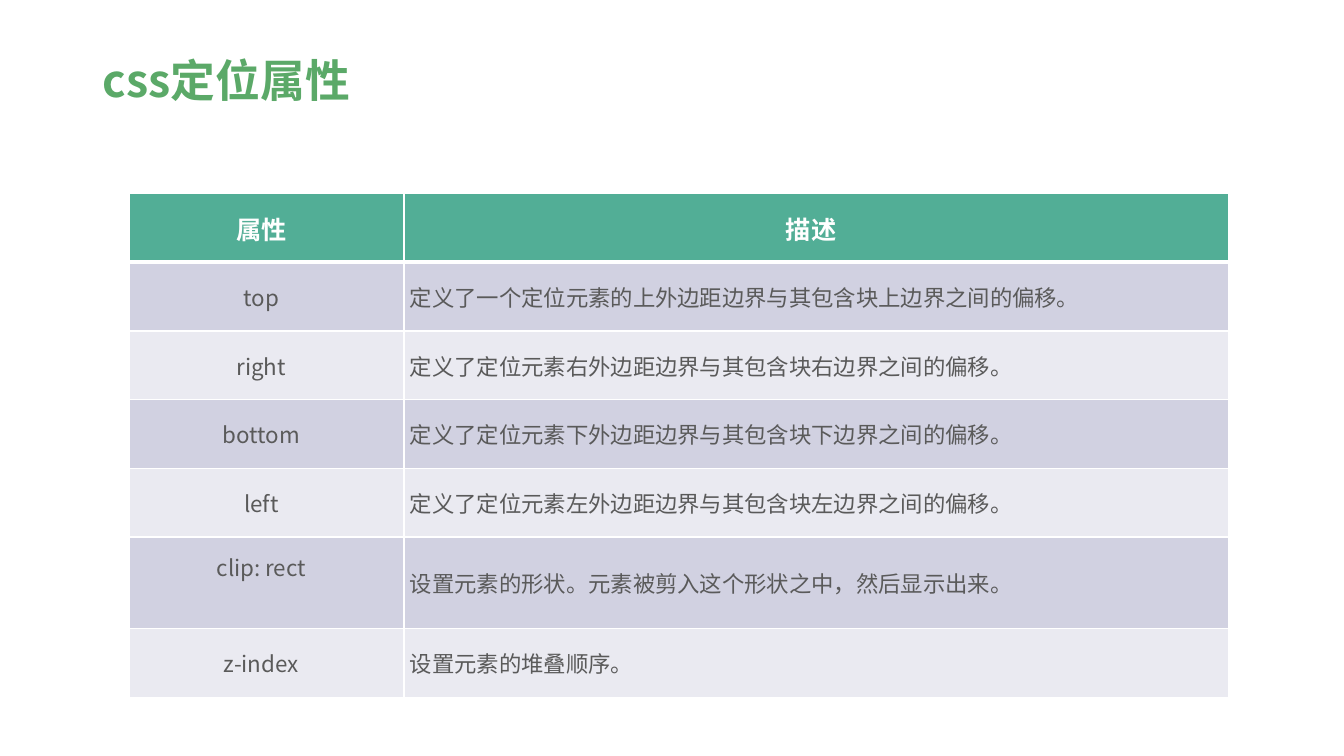
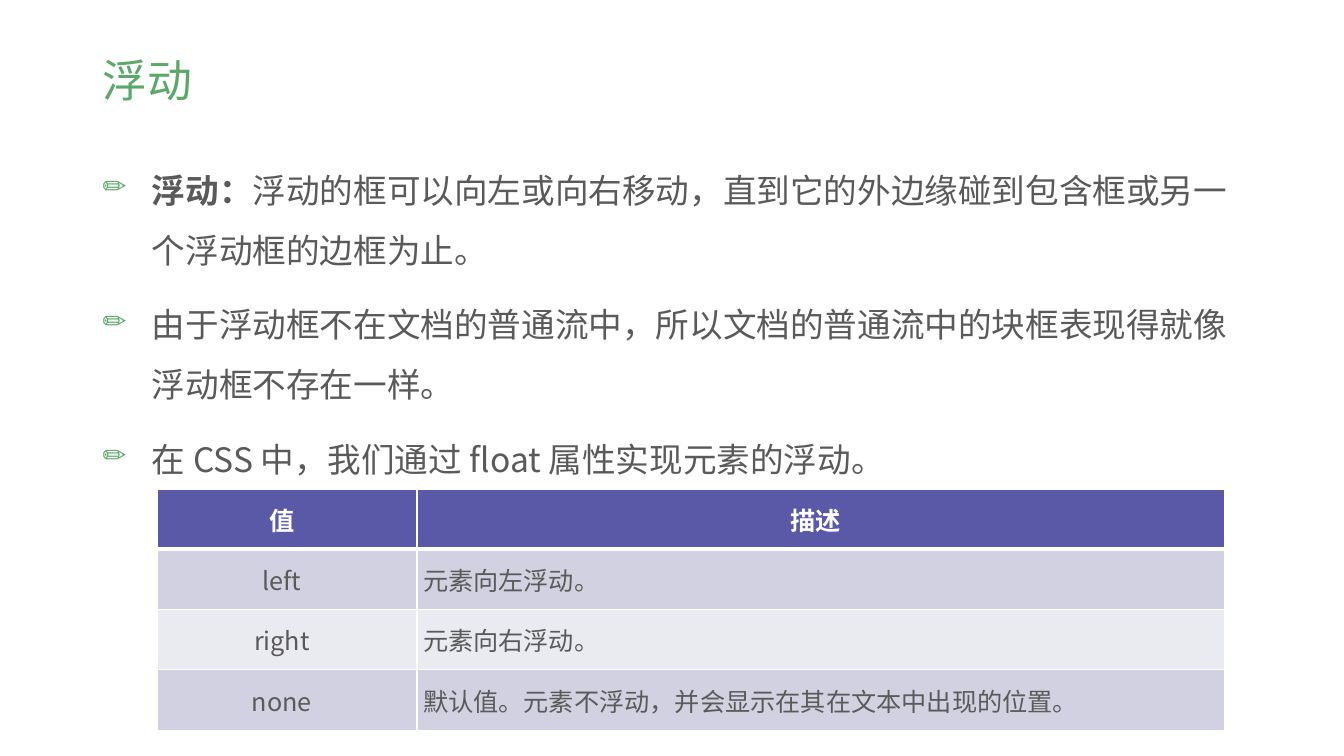
from lxml.etree import SubElement
from pptx import Presentation
from pptx.dml.color import RGBColor
from pptx.enum.text import MSO_ANCHOR, PP_ALIGN
from pptx.oxml import parse_xml
from pptx.oxml.ns import nsdecls, qn
from pptx.util import Cm, Pt

FONT = "Noto Sans CJK SC"
GREEN, TEAL, PURPLE = "5BA968", "52AE96", "5959A7"
GREY, WHITE = "5A5A5A", "FFFFFF"
BANDS = ("D1D1E1", "EAEAF1")

SLIDE_SIZE = (33.87, 19.05)
TITLE_BOX = (2.34, 1.02, 29.21, 2.16)
BODY_BOX = (2.34, 3.65, 29.21, 13.8)
INDENT = 1.24
CELL_FORMAT = {
    "margin_left": Cm(0.15),
    "margin_right": Cm(0.41),
    "margin_top": Cm(0.14),
    "margin_bottom": Cm(0.14),
    "vertical_anchor": MSO_ANCHOR.MIDDLE,
}

POSITION_ROWS = [
    ("属性", "描述"),
    ("top", "定义了一个定位元素的上外边距边界与其包含块上边界之间的偏移。"),
    ("right", "定义了定位元素右外边距边界与其包含块右边界之间的偏移。"),
    ("bottom", "定义了定位元素下外边距边界与其包含块下边界之间的偏移。"),
    ("left", "定义了定位元素左外边距边界与其包含块左边界之间的偏移。"),
    ("clip: rect", "设置元素的形状。元素被剪入这个形状之中，然后显示出来。"),
    ("z-index", "设置元素的堆叠顺序。"),
]
FLOAT_ROWS = [
    ("值", "描述"),
    ("left", "元素向左浮动。"),
    ("right", "元素向右浮动。"),
    ("none", "默认值。元素不浮动，并会显示在其在文本中出现的位置。"),
]
# Each point is a bold lead and the text that follows it
FLOAT_POINTS = [
    ("浮动：", "浮动的框可以向左或向右移动，直到它的外边缘碰到包含框或另一个浮动框的边框为止。"),
    ("", "由于浮动框不在文档的普通流中，所以文档的普通流中的块框表现得就像浮动框不存在一样。"),
    ("", "在 CSS 中，我们通过 float 属性实现元素的浮动。"),
]


def rgb(color):
    return RGBColor.from_string(color)


def set_format(target, values):
    for name, value in values.items():
        setattr(target, name, value)


def add_run(paragraph, text, size, color, bold=False, latin=FONT):
    run = paragraph.add_run()
    run.text = text
    set_format(run.font, {"size": Pt(size), "bold": bold, "name": latin})
    run.font.color.rgb = rgb(color)
    SubElement(run.font._element, qn("a:ea"), typeface=FONT)


def add_bullet(paragraph):
    properties = paragraph._p.get_or_add_pPr()
    properties.set("marL", str(Cm(INDENT)))
    properties.set("indent", str(-Cm(INDENT)))
    color = SubElement(properties, qn("a:buClr"))
    SubElement(color, qn("a:srgbClr"), val=GREEN)
    SubElement(properties, qn("a:buSzPct"), val="85000")
    SubElement(properties, qn("a:buChar"), char="✏")


def add_borders(cell, widths):
    """Draw white cell borders, given widths in points by side letter."""
    properties = cell._tc.get_or_add_tcPr()
    for index, (side, width) in enumerate(widths.items()):
        properties.insert(index, parse_xml(
            f'<a:ln{side} {nsdecls("a")} w="{Pt(width)}"><a:solidFill>'
            f'<a:srgbClr val="{WHITE}"/></a:solidFill></a:ln{side}>'))


def add_titled_slide(deck, title, **style):
    slide = deck.slides.add_slide(deck.slide_layouts[5])
    heading = slide.shapes.title
    set_format(heading, dict(zip(("left", "top", "width", "height"), map(Cm, TITLE_BOX))))
    heading.text_frame.vertical_anchor = MSO_ANCHOR.MIDDLE
    paragraph = heading.text_frame.paragraphs[0]
    set_format(paragraph, {"alignment": PP_ALIGN.LEFT, "line_spacing": 0.9})
    add_run(paragraph, title, 32, GREEN, **style)
    return slide


def add_points(slide, box, points):
    frame = slide.shapes.add_textbox(*map(Cm, box)).text_frame
    frame.word_wrap = True
    for index, (lead, text) in enumerate(points):
        paragraph = frame.add_paragraph() if index else frame.paragraphs[0]
        set_format(paragraph, {"line_spacing": Pt(43), "space_before": Pt(10 if index else 0)})
        add_bullet(paragraph)
        if lead:
            add_run(paragraph, lead, 24, GREY, bold=True)
        add_run(paragraph, text, 24, GREY)


def add_property_table(slide, corner, widths, heights, rows, header_fill, body_size):
    """Add a banded table of names and descriptions and return it."""
    left, top = corner
    table = slide.shapes.add_table(
        len(rows), len(widths), Cm(left), Cm(top), Cm(sum(widths)), Cm(sum(heights))).table
    for column, width in zip(table.columns, widths):
        column.width = Cm(width)
    for row, height in zip(table.rows, heights):
        row.height = Cm(height)
    for r, texts in enumerate(rows):
        is_header = r == 0
        for c, text in enumerate(texts):
            cell = table.cell(r, c)
            set_format(cell, CELL_FORMAT)
            cell.fill.solid()
            cell.fill.fore_color.rgb = rgb(header_fill if is_header else BANDS[(r - 1) % 2])
            add_borders(cell, {"L": 1, "R": 1, "T": 3 if r == 1 else 1, "B": 3 if is_header else 1})
            paragraph = cell.text_frame.paragraphs[0]
            centred = is_header or c == 0
            paragraph.alignment = PP_ALIGN.CENTER if centred else PP_ALIGN.LEFT
            if is_header:
                add_run(paragraph, text, 18, WHITE, bold=True)
            else:
                add_run(paragraph, text, body_size, GREY)
    return table


def build_position_slide(deck):
    slide = add_titled_slide(deck, "css定位属性", bold=True)
    heights = [1.73] * 5 + [2.31, 1.73]
    table = add_property_table(
        slide, (3.25, 4.88), (6.93, 20.78), heights, POSITION_ROWS, TEAL, 16)
    # The clip name sits above the middle of its taller row
    table.cell(5, 0).margin_bottom = Cm(0.95)


def build_float_slide(deck):
    slide = add_titled_slide(deck, "浮动", latin="Arial")
    add_points(slide, BODY_BOX, FLOAT_POINTS)
    add_property_table(
        slide, (3.96, 12.32), (6.55, 20.35), [1.52] * 4, FLOAT_ROWS, PURPLE, 18)


def main():
    deck = Presentation()
    deck.slide_width, deck.slide_height = map(Cm, SLIDE_SIZE)
    build_position_slide(deck)
    build_float_slide(deck)
    deck.save("out.pptx")


if __name__ == "__main__":
    main()
